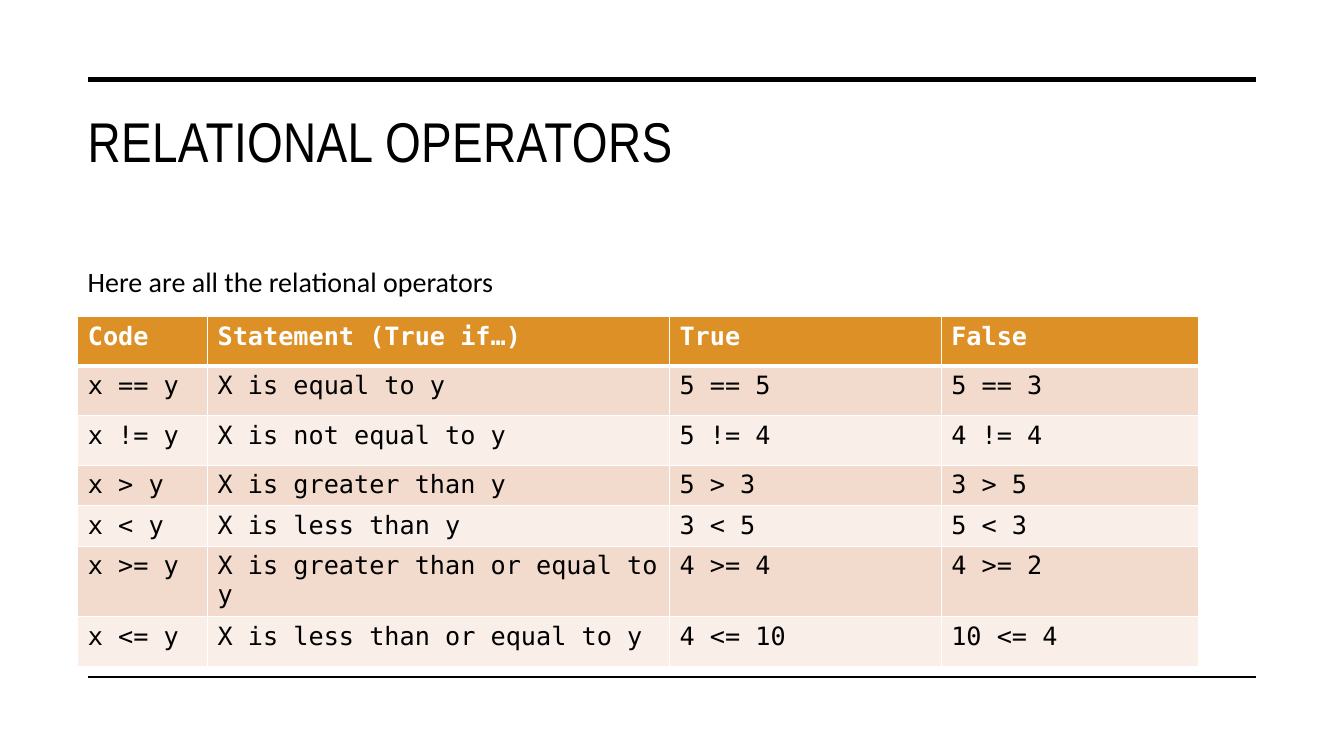
import pptx
import pptx.dml.color
import pptx.enum.shapes
import pptx.enum.text
import pptx.oxml.ns
import pptx.util
from lxml import etree
from pptx.util import Cm

TITLE = "RELATIONAL OPERATORS"
INTRO = "Here are all the relational operators"
OPERATORS = [
    ("Code", "Statement (True if…)", "True", "False"),
    ("x == y", "X is equal to y", "5 == 5", "5 == 3"),
    ("x != y", "X is not equal to y", "5 != 4", "4 != 4"),
    ("x > y", "X is greater than y", "5 > 3", "3 > 5"),
    ("x < y", "X is less than y", "3 < 5", "5 < 3"),
    ("x >= y", "X is greater than or equal to y", "4 >= 4", "4 >= 2"),
    ("x <= y", "X is less than or equal to y", "4 <= 10", "10 <= 4"),
]
COLORS = {
    "ink": "000000",
    "paper": "FFFFFF",
    "header": "DC9026",
    "odd": "F2DBCD",
    "even": "F9EEE8",
}
COLUMN_WIDTHS = [3.27, 11.64, 6.85, 6.48]
ROW_HEIGHTS = [1.25, 1.25, 1.25, 0.94, 0.94, 1.25, 1.25]
RULES = [(2.0, 3.5), (17.06, 1)]  # height on the slide, line weight
RULE_LEFT, RULE_RIGHT = 2.23, 31.65
LEFT, TEXT_WIDTH = 1.96, 29.69
TABLE_TOP = 7.98


def rgb(name):
    return pptx.dml.color.RGBColor.from_string(COLORS[name])


def write_text(frame, text, *, font, size, color="ink", bold=False,
               tracking=None, line_spacing=None, space_before=None):
    frame.word_wrap = True
    frame.vertical_anchor = pptx.enum.text.MSO_ANCHOR.TOP
    paragraph = frame.paragraphs[0]
    paragraph.line_spacing = line_spacing
    if space_before is not None:
        paragraph.space_before = pptx.util.Pt(space_before)
    run = paragraph.add_run()
    run.text = text
    run.font.name = font
    run.font.size = pptx.util.Pt(size)
    run.font.bold = bold
    run.font.color.rgb = rgb(color)
    if tracking is not None:
        run.font._element.set("spc", str(round(tracking * 100)))


def add_text_box(slide, top, height, text, **text_format):
    box = slide.shapes.add_textbox(Cm(LEFT), Cm(top), Cm(TEXT_WIDTH), Cm(height))
    write_text(box.text_frame, text, **text_format)


def add_rule(slide, top, weight):
    line = slide.shapes.add_connector(
        pptx.enum.shapes.MSO_CONNECTOR.STRAIGHT,
        Cm(RULE_LEFT), Cm(top), Cm(RULE_RIGHT), Cm(top))
    line.line.color.rgb = rgb("ink")
    line.line.width = pptx.util.Pt(weight)
    etree.SubElement(line._element.spPr, pptx.oxml.ns.qn("a:effectLst"))


def set_borders(cell, **weights):
    """Draw the cell's white borders; weights are points keyed L, R, T, B."""
    properties = cell._tc.get_or_add_tcPr()
    for side in "LRTB":
        border = etree.SubElement(
            properties, pptx.oxml.ns.qn("a:ln" + side),
            w=str(pptx.util.Pt(weights.get(side, 1))))
        fill = etree.SubElement(border, pptx.oxml.ns.qn("a:solidFill"))
        etree.SubElement(fill, pptx.oxml.ns.qn("a:srgbClr"), val=COLORS["paper"])


def add_operator_table(slide):
    table = slide.shapes.add_table(
        len(OPERATORS), len(COLUMN_WIDTHS), Cm(LEFT), Cm(TABLE_TOP),
        Cm(sum(COLUMN_WIDTHS)), Cm(sum(ROW_HEIGHTS))).table
    for column, width in zip(table.columns, COLUMN_WIDTHS):
        column.width = Cm(width)
    for row, height in zip(table.rows, ROW_HEIGHTS):
        row.height = Cm(height)
    for row_index, texts in enumerate(OPERATORS):
        is_header = row_index == 0
        band = "header" if is_header else "odd" if row_index % 2 else "even"
        weights = {0: {"B": 3}, 1: {"T": 3}}.get(row_index, {})
        for column_index, text in enumerate(texts):
            cell = table.cell(row_index, column_index)
            set_borders(cell, **weights)
            cell.fill.solid()
            cell.fill.fore_color.rgb = rgb(band)
            write_text(cell.text_frame, text, font="DejaVu Sans Mono", size=18,
                       color="paper" if is_header else "ink", bold=is_header)


def main():
    presentation = pptx.Presentation()
    presentation.slide_width = Cm(33.87)
    presentation.slide_height = Cm(19.05)
    slide = presentation.slides.add_slide(presentation.slide_layouts[6])
    for top, weight in RULES:
        add_rule(slide, top, weight)
    add_text_box(slide, 2.57, 3.81, TITLE, font="Arial Narrow", size=40, tracking=0.3)
    add_text_box(slide, 6.38, 10.11, INTRO, font="Calibri", size=20,
                 line_spacing=1.2, space_before=10)
    add_operator_table(slide)
    presentation.save("out.pptx")


if __name__ == "__main__":
    main()
